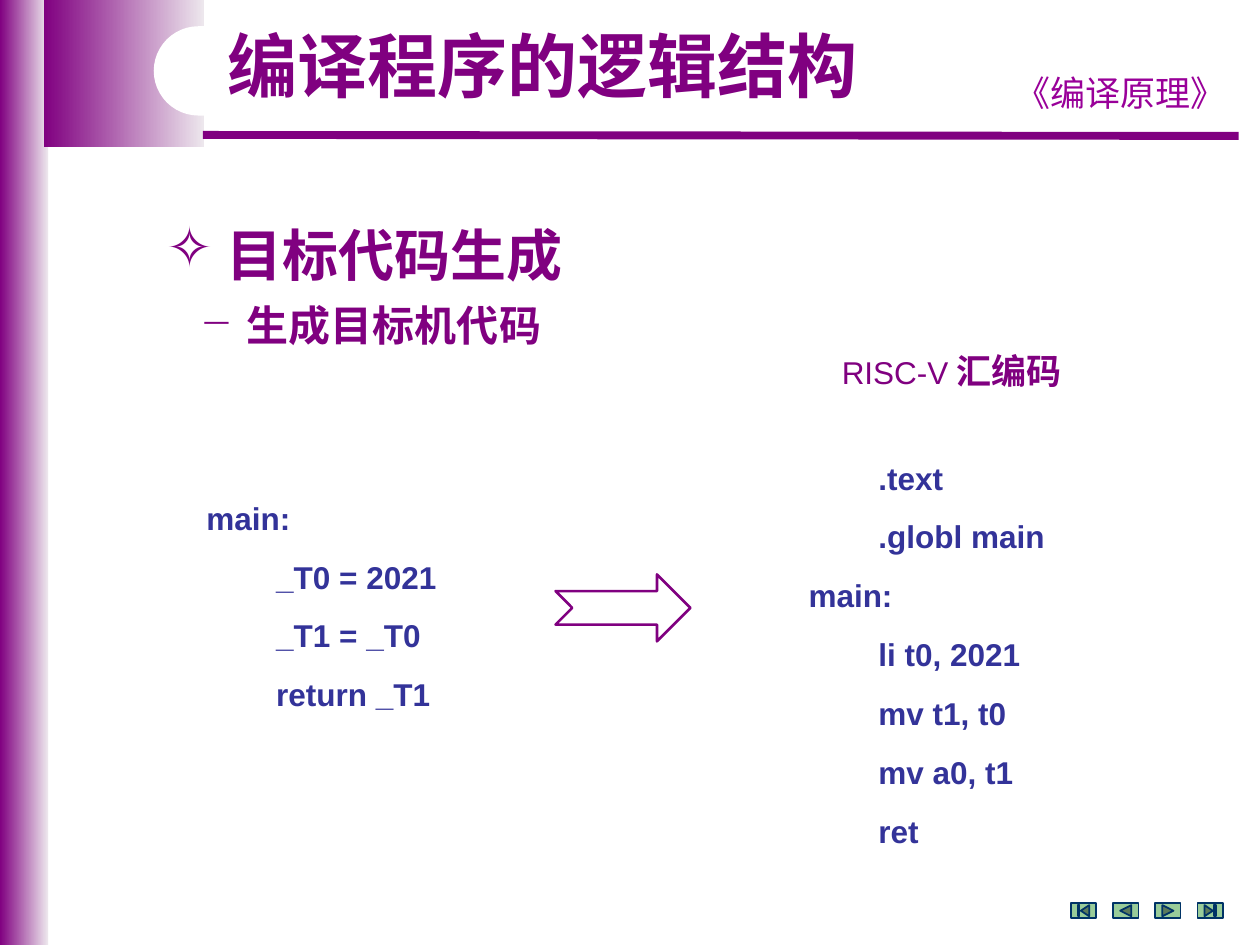
import pptx
import pptx.util
import pptx.dml.color
import pptx.enum.shapes
import pptx.enum.text
import pptx.oxml.ns
import lxml.etree

Cm = pptx.util.Cm
Pt = pptx.util.Pt
RGB = pptx.dml.color.RGBColor
KIND = pptx.enum.shapes.MSO_SHAPE
ALIGN = pptx.enum.text.PP_ALIGN
qn = pptx.oxml.ns.qn

PURPLE = RGB(0x80, 0x00, 0x80)
PALE = RGB(0xED, 0xE7, 0xED)
VIOLET = RGB(0x99, 0x00, 0x99)
BLUE = RGB(0x33, 0x33, 0x99)
GREEN = RGB(0x99, 0xCC, 0x99)
NAVY = RGB(0x00, 0x33, 0x66)
WHITE = RGB(0xFF, 0xFF, 0xFF)
LATIN = "Arial"
CJK = "Noto Sans CJK SC"

LEFT_CODE = ["main:", "        _T0 = 2021", "        _T1 = _T0",
             "        return _T1"]
RIGHT_CODE = ["        .text", "        .globl main", "main:",
              "        li t0, 2021", "        mv t1, t0",
              "        mv a0, t1", "        ret"]


def add_box(slide, x, y, w, h, inset=0.25):
    """Add an empty wrapping text box and return its frame."""
    frame = slide.shapes.add_textbox(Cm(x), Cm(y), Cm(w), Cm(h)).text_frame
    frame.word_wrap = True
    frame.auto_size = pptx.enum.text.MSO_AUTO_SIZE.SHAPE_TO_FIT_TEXT
    frame.margin_left = frame.margin_right = Cm(inset)
    return frame


def next_para(frame):
    """Return the first paragraph while it is empty, then new ones."""
    first = frame.paragraphs[0]
    return frame.add_paragraph() if first.runs else first


def add_text(para, text, size=18, color=PURPLE, bold=False, font=LATIN):
    run = para.add_run()
    run.text = text
    run.font.size = Pt(size)
    run.font.bold = bold
    run.font.color.rgb = color
    run.font.name = font
    east = lxml.etree.SubElement(run.font._element, qn("a:ea"))
    east.set("typeface", CJK)


def indent(para, left, hang=0, mark=None):
    """Set the indent and, if given, the bullet mark."""
    props = para._p.get_or_add_pPr()
    props.set("marL", str(Cm(left)))
    props.set("indent", str(-Cm(hang)))
    if mark:
        tint = lxml.etree.SubElement(props, qn("a:buClr"))
        lxml.etree.SubElement(tint, qn("a:srgbClr")).set("val", str(PURPLE))
        lxml.etree.SubElement(props, qn("a:buChar")).set("char", mark)


def add_shape(slide, kind, x, y, w, h, fill=None, line=None, width=1):
    shape = slide.shapes.add_shape(kind, Cm(x), Cm(y), Cm(w), Cm(h))
    shape.shadow.inherit = False
    if fill is None:
        shape.fill.background()
    else:
        shape.fill.solid()
        shape.fill.fore_color.rgb = fill
    if line is None:
        shape.line.fill.background()
    else:
        shape.line.color.rgb = line
        shape.line.width = Pt(width)
    return shape


def add_fade(slide, x, y, w, h):
    """Add a bar that fades from purple to pale."""
    fill = add_shape(slide, KIND.RECTANGLE, x, y, w, h).fill
    fill.gradient()
    fill.gradient_angle = 0
    for stop, color, place in zip(fill.gradient_stops, (PURPLE, PALE), (0, 1)):
        stop.color.rgb = color
        stop.position = place


def add_rule(slide, x1, y1, x2, y2):
    rule = slide.shapes.add_connector(
        pptx.enum.shapes.MSO_CONNECTOR.STRAIGHT,
        Cm(x1), Cm(y1), Cm(x2), Cm(y2))
    rule.line.color.rgb = PURPLE
    rule.line.width = Pt(4.5)
    lxml.etree.SubElement(rule._element.spPr, qn("a:effectLst"))


def add_code(slide, lines, x, y, w, h):
    frame = add_box(slide, x, y, w, h)
    for i, line in enumerate(lines):
        para = next_para(frame)
        para.space_before = Pt(6 if i else 0)
        para.space_after = Pt(6)
        add_text(para, line, color=BLUE, bold=True)


def add_frame(slide):
    # Side bar, corner block and rule
    add_fade(slide, 0, 0, 0.97, 19.05)
    add_fade(slide, 0.89, 0, 3.22, 2.97)
    add_rule(slide, 4.09, 2.72, 24.97, 2.74)
    # Course name
    para = next_para(add_box(slide, 20.09, 1.32, 5, 1.09))
    para.alignment = ALIGN.CENTER
    add_text(para, "《编译原理》", size=20, color=VIOLET, font=CJK)
    # Rounded notch behind the title
    notch = add_shape(slide, KIND.ROUNDED_RECTANGLE, 3.1, 0.53, 9.19, 1.8, WHITE)
    notch.adjustments[0] = 0.5


def add_heads(slide):
    # Title
    para = next_para(add_box(slide, 4.19, 0.53, 13.49, 1.78))
    para.alignment = ALIGN.CENTER
    para.line_spacing = 0.9
    add_text(para, "编译程序的逻辑结构", size=40, bold=True)
    # Topic and subtopic
    frame = add_box(slide, 3.1, 4.32, 15.19, 2.87)
    para = next_para(frame)
    indent(para, 1.22, 1.22, "✧")
    add_text(para, "目标代码生成", size=32, bold=True)
    para = next_para(frame)
    para.space_before = Pt(7)
    indent(para, 1.63, 0.95, "−")
    add_text(para, "生成目标机代码", size=24, bold=True)
    # Label of the target code
    para = next_para(add_box(slide, 15.7, 6.93, 6.2, 1.09, inset=0))
    indent(para, 1.27)
    add_text(para, "RISC-V")
    add_text(para, " 汇编码", size=20, bold=True, font=CJK)


def add_buttons(slide):
    kinds = [KIND.ACTION_BUTTON_BEGINNING, KIND.ACTION_BUTTON_BACK_OR_PREVIOUS,
             KIND.ACTION_BUTTON_FORWARD_OR_NEXT, KIND.ACTION_BUTTON_END]
    for i, kind in enumerate(kinds):
        add_shape(slide, kind, 21.59 + 0.85 * i, 18.21, 0.51, 0.3, GREEN, NAVY)


def main():
    deck = pptx.Presentation()
    deck.slide_width, deck.slide_height = Cm(25.4), Cm(19.05)
    slide = deck.slides.add_slide(deck.slide_layouts[6])
    add_frame(slide)
    add_heads(slide)
    add_buttons(slide)
    # Source code, arrow and target code
    add_shape(slide, KIND.NOTCHED_RIGHT_ARROW, 11.2, 11.58, 2.72, 1.35,
              line=PURPLE, width=1.5)
    add_code(slide, LEFT_CODE, 3.91, 9.93, 7.29, 4.62)
    add_code(slide, RIGHT_CODE, 16.05, 9.12, 6.4, 8.2)
    deck.save("out.pptx")


if __name__ == "__main__":
    main()
